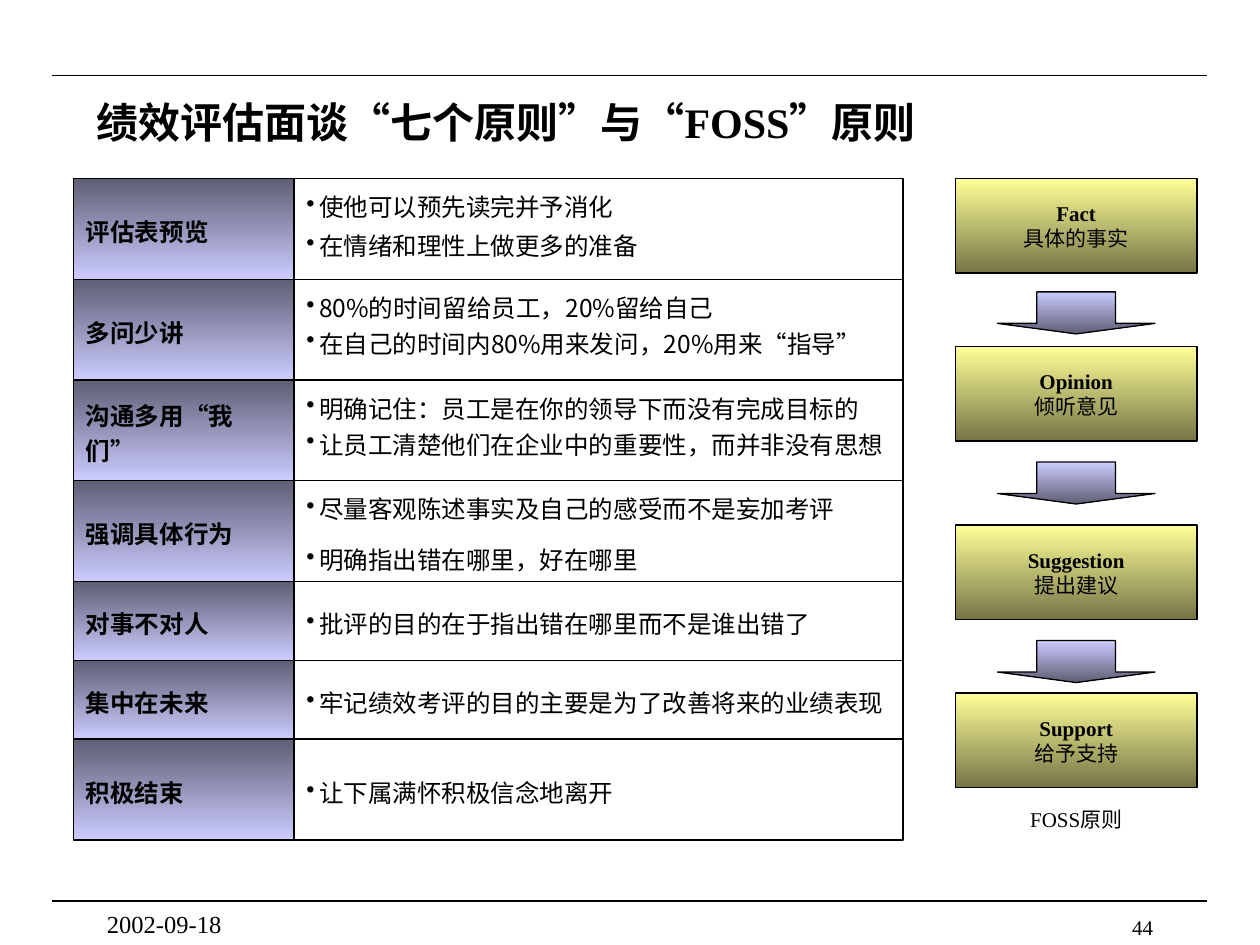
"""Build the slide on the seven appraisal-interview principles and FOSS."""
from dataclasses import dataclass
from itertools import accumulate

from lxml import etree
from pptx import Presentation
from pptx import util as u
from pptx.dml.color import RGBColor
from pptx.enum import shapes, text
from pptx.oxml.ns import qn


@dataclass(frozen=True)
class Theme:
    """Colours, fonts and type sizes of the slide."""
    ink: str = "000000"
    paper: str = "FFFFFF"
    label: tuple = ("5E5E75", "CCCCFF")
    arrow: tuple = ("CCCCFF", "5E5E75")
    step: tuple = ("FFFF99", "757546")
    serif: str = "Times New Roman"
    sans: str = "Noto Sans CJK SC"
    title: int = 24
    body: int = 14
    small: int = 12
    line: float = 0.75


T = Theme()
COLS, ROWS = 120, 90
WIDTH, HEIGHT = u.Inches(10), u.Inches(7.5)
TOP = 17
TALL, LOW = 9.6, 7.5

PRINCIPLES = [
    ("评估表预览", TALL, 0.8, ["使他可以预先读完并予消化", "在情绪和理性上做更多的准备"]),
    ("多问少讲", TALL, 0.7, ["80%的时间留给员工，20%留给自己",
                         "在自己的时间内80%用来发问，20%用来“指导”"]),
    ("沟通多用“我们”", TALL, 0.7, ["明确记住：员工是在你的领导下而没有完成目标的",
                             "让员工清楚他们在企业中的重要性，而并非没有思想"]),
    ("强调具体行为", TALL, 1.2, ["尽量客观陈述事实及自己的感受而不是妄加考评",
                           "明确指出错在哪里，好在哪里"]),
    ("对事不对人", LOW, 1.2, ["批评的目的在于指出错在哪里而不是谁出错了"]),
    ("集中在未来", LOW, 1.2, ["牢记绩效考评的目的主要是为了改善将来的业绩表现"]),
    ("积极结束", TALL, 1.2, ["让下属满怀积极信念地离开"]),
]
STEPS = [(17, "Fact", "具体的事实"), (33, "Opinion", "倾听意见"),
         (50, "Suggestion", "提出建议"), (66, "Support", "给予支持")]
ARROW_ROWS = [27.8, 44, 61]


def place(col, row, cols, rows):
    """Turn grid units into left, top, width and height."""
    return (u.Emu(int(WIDTH * col / COLS)), u.Emu(int(HEIGHT * row / ROWS)),
            u.Emu(int(WIDTH * cols / COLS)), u.Emu(int(HEIGHT * rows / ROWS)))


def rgb(value):
    """Return a colour from its hex string."""
    return RGBColor.from_string(value)


def add_run(p, words, size, font, bold=False):
    """Add one run with Latin and East Asian fonts."""
    r = p.add_run()
    r.text = words
    r.font.size, r.font.name, r.font.bold = u.Pt(size), font, bold
    r.font.color.rgb = rgb(T.ink)
    ea = etree.SubElement(r.font._element, qn("a:ea"))
    ea.set("typeface", T.sans)


def write(sp, lines, size, font, align="LEFT", anchor="MIDDLE", spacing=None, bullet=False):
    """Fill a shape with paragraphs given as (words, bold) pairs."""
    tf = sp.text_frame
    tf.word_wrap, tf.auto_size = True, text.MSO_AUTO_SIZE.NONE
    tf.vertical_anchor = getattr(text.MSO_ANCHOR, anchor)
    for i, (words, bold) in enumerate(lines):
        p = tf.paragraphs[0] if i == 0 else tf.add_paragraph()
        p.alignment = getattr(text.PP_ALIGN, align)
        if spacing:
            p.line_spacing, p.space_before = spacing, u.Pt(8.8)
        if bullet:
            add_bullet(p)
        add_run(p, words, size, font, bold)


def add_bullet(p):
    """Give a paragraph a hanging round bullet."""
    indent = u.Inches(0.1)
    pr = p._p.get_or_add_pPr()
    pr.set("marL", str(indent))
    pr.set("indent", str(-indent))
    etree.SubElement(pr, qn("a:buChar")).set("char", "•")


def add_box(slide, box, fill=None, kind="RECTANGLE", outlined=True):
    """Add a shape with no, plain or top-to-bottom gradient fill."""
    sp = slide.shapes.add_shape(getattr(shapes.MSO_SHAPE, kind), *place(*box))
    sp.shadow.inherit = False
    if fill is None:
        sp.fill.background()
    elif isinstance(fill, str):
        sp.fill.solid()
        sp.fill.fore_color.rgb = rgb(fill)
    else:
        sp.fill.gradient()
        sp.fill.gradient_angle = 270
        for stop, colour in zip(sp.fill.gradient_stops, fill):
            stop.color.rgb = rgb(colour)
    if outlined:
        sp.line.color.rgb, sp.line.width = rgb(T.ink), u.Pt(T.line)
    else:
        sp.line.fill.background()
    return sp


def add_rule(slide, row):
    """Draw a horizontal rule between the side margins."""
    left, y, width, _ = place(5, row, 110, 0)
    rule = slide.shapes.add_connector(shapes.MSO_CONNECTOR.STRAIGHT, left, y, left + width, y)
    rule.line.color.rgb, rule.line.width = rgb(T.ink), u.Pt(T.line)
    etree.SubElement(rule._element.spPr, qn("a:effectLst"))


def add_title(slide, words):
    """Place and fill the title placeholder."""
    sp = slide.shapes.title
    sp.left, sp.top, sp.width, sp.height = place(8, 9.2, 102, 4.8)
    write(sp, [(words, True)], T.title, T.serif)


def add_principles(slide):
    """Stack the principles as label and explanation cells."""
    tops = accumulate((rows for _, rows, _, _ in PRINCIPLES), initial=TOP)
    for top, (name, rows, spacing, points) in zip(tops, PRINCIPLES):
        label = add_box(slide, (7, top, 21, rows), T.label)
        write(label, [(name, True)], T.body, T.sans, spacing=1.2)
        cell = add_box(slide, (28, top, 58, rows))
        write(cell, [(point, False) for point in points], T.body, T.sans,
              spacing=spacing, bullet=True)


def add_foss(slide):
    """Draw the FOSS steps, the arrows between them and the caption."""
    for row in ARROW_ROWS:
        arrow = add_box(slide, (95, row, 15, 4), T.arrow, "DOWN_ARROW")
        arrow.adjustments[0], arrow.adjustments[1] = 0.5, 0.25
    for row, english, chinese in STEPS:
        step = add_box(slide, (91, row, 23, 9), T.step)
        write(step, [(english, True), (chinese, False)], T.small, T.serif, "CENTER")
    caption = add_box(slide, (92, 76, 21, 4), T.paper, outlined=False)
    write(caption, [("FOSS原则", False)], T.small, T.serif, "CENTER")


def add_note(slide, box, words, size, align):
    """Add a footer text box."""
    sp = slide.shapes.add_textbox(*place(*box))
    write(sp, [(words, False)], size, T.serif, align, "TOP")


def main():
    """Build and save the slide."""
    prs = Presentation()
    prs.slide_width, prs.slide_height = WIDTH, HEIGHT
    slide = prs.slides.add_slide(prs.slide_layouts[5])
    for row in (7.2, 85.8):
        add_rule(slide, row)
    add_title(slide, "绩效评估面谈“七个原则”与“FOSS”原则")
    add_principles(slide)
    add_foss(slide)
    add_note(slide, (86, 86.5, 25, 2), "44", T.small, "RIGHT")
    add_note(slide, (9, 86, 25, 3), "2002-09-18", T.body, "LEFT")
    prs.save("out.pptx")


if __name__ == "__main__":
    main()
